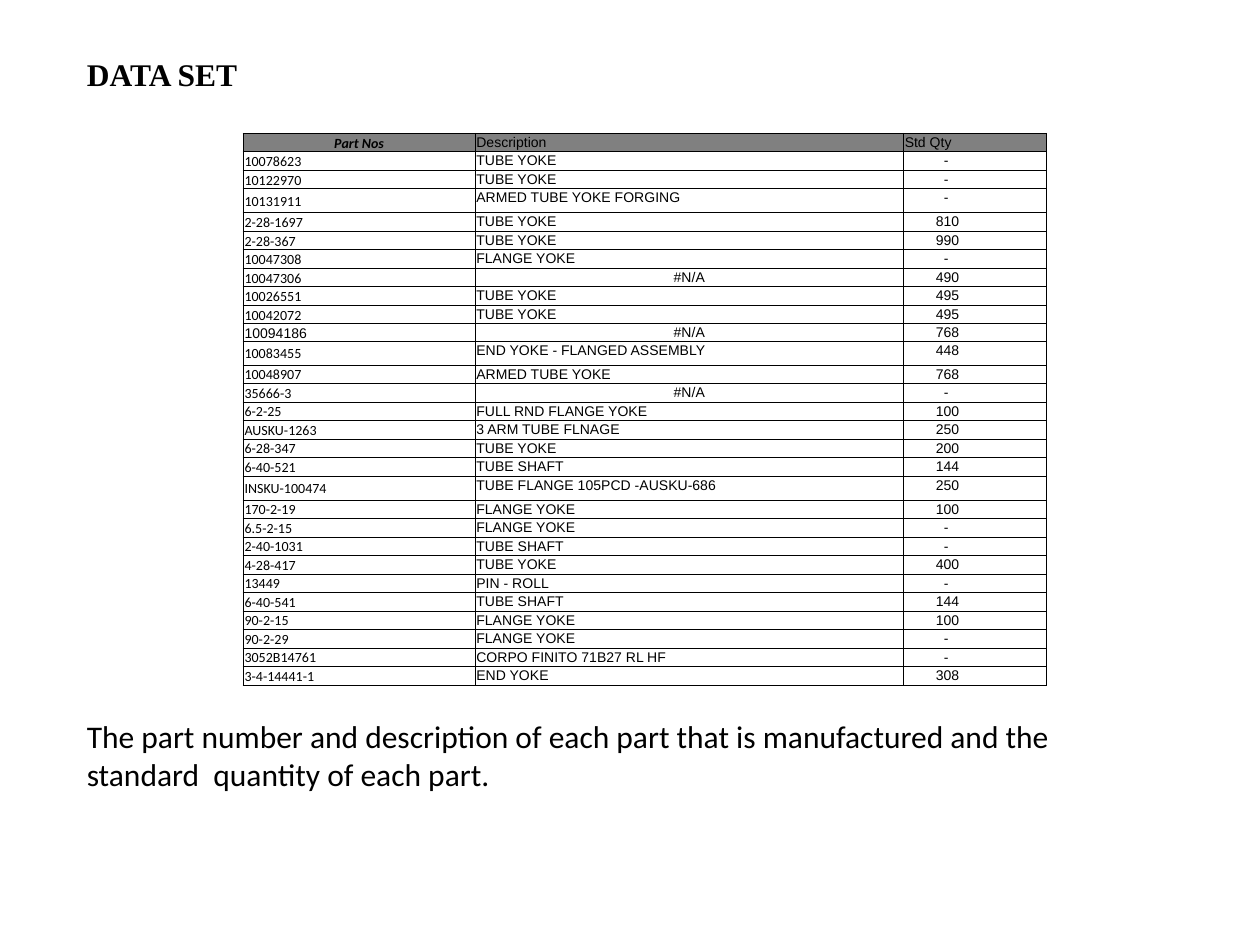
from pptx import Presentation
from pptx.dml.color import RGBColor
from pptx.enum.text import MSO_ANCHOR, PP_ALIGN
from pptx.oxml import parse_xml
from pptx.oxml.ns import nsdecls
from pptx.util import Pt

THEME = {
    "ink": RGBColor(0, 0, 0), "head": RGBColor(0x80, 0x80, 0x80),
    "line": "000000", "rule": Pt(0.75),
    "title": Pt(18), "body": Pt(18), "cell": Pt(8),
    "serif": "Times New Roman", "sans": "Calibri", "grid": "Arial",
}
HEAD = ("Part Nos", "Description", "Std Qty")
PARTS = [
    ("10078623", "TUBE YOKE", "-"),
    ("10122970", "TUBE YOKE", "-"),
    ("10131911", "ARMED TUBE YOKE FORGING", "-"),
    ("2-28-1697", "TUBE YOKE", "810"),
    ("2-28-367", "TUBE YOKE", "990"),
    ("10047308", "FLANGE YOKE", "-"),
    ("10047306", "#N/A", "490"),
    ("10026551", "TUBE YOKE", "495"),
    ("10042072", "TUBE YOKE", "495"),
    ("10094186", "#N/A", "768"),
    ("10083455", "END YOKE - FLANGED ASSEMBLY", "448"),
    ("10048907", "ARMED TUBE YOKE", "768"),
    ("35666-3", "#N/A", "-"),
    ("6-2-25", "FULL RND FLANGE YOKE", "100"),
    ("AUSKU-1263", "3 ARM TUBE FLNAGE", "250"),
    ("6-28-347", "TUBE YOKE", "200"),
    ("6-40-521", "TUBE SHAFT", "144"),
    ("INSKU-100474", "TUBE FLANGE 105PCD -AUSKU-686", "250"),
    ("170-2-19", "FLANGE YOKE", "100"),
    ("6.5-2-15", "FLANGE YOKE", "-"),
    ("2-40-1031", "TUBE SHAFT", "-"),
    ("4-28-417", "TUBE YOKE", "400"),
    ("13449", "PIN - ROLL", "-"),
    ("6-40-541", "TUBE SHAFT", "144"),
    ("90-2-15", "FLANGE YOKE", "100"),
    ("90-2-29", "FLANGE YOKE", "-"),
    ("3052B14761", "CORPO FINITO 71B27 RL HF", "-"),
    ("3-4-14441-1", "END YOKE", "308"),
]
WIDTHS = (132.5, 244.8, 81.5)
LOW, TALL = 10, 13.7
TALL_ROWS = (3, 11, 18)
PLAIN_ROW = 10  # its part number is set in the grid font


def style(frame, font, size, bold=False, italic=False):
    for run in frame.paragraphs[0].runs:
        run.font.name, run.font.size = font, size
        run.font.bold, run.font.italic = bold, italic
        run.font.color.rgb = THEME["ink"]


def border(cell):
    props = cell._tc.get_or_add_tcPr()
    for side in ("lnL", "lnR", "lnT", "lnB"):
        props.append(parse_xml(
            f'<a:{side} {nsdecls("a")} w="{THEME["rule"]}"><a:solidFill>'
            f'<a:srgbClr val="{THEME["line"]}"/></a:solidFill></a:{side}>'))


deck = Presentation()
deck.slide_width, deck.slide_height = Pt(720), Pt(540)
slide = deck.slides.add_slide(deck.slide_layouts[5])

# Title
title = slide.shapes.title
title.left, title.top, title.width, title.height = Pt(42.5), Pt(28), Pt(317.5), Pt(29)
frame = title.text_frame
frame.text = "DATA SET"
frame.vertical_anchor = MSO_ANCHOR.TOP
frame.paragraphs[0].alignment = PP_ALIGN.LEFT
style(frame, THEME["serif"], THEME["title"], bold=True)

# Parts table
rows = [HEAD] + PARTS
heights = [TALL if r in TALL_ROWS else LOW for r in range(len(rows))]
table = slide.shapes.add_table(len(rows), len(HEAD), Pt(139), Pt(76.2),
                               Pt(sum(WIDTHS)), Pt(sum(heights))).table
table.first_row = table.horz_banding = False
for col, width in zip(table.columns, WIDTHS):
    col.width = Pt(width)
for r, (row, height) in enumerate(zip(rows, heights)):
    table.rows[r].height = Pt(height)
    for c, text in enumerate(row):
        cell = table.cell(r, c)
        cell.text = text
        cell.margin_left = cell.margin_right = cell.margin_top = Pt(0.72)
        cell.margin_bottom = Pt(0)
        cell.vertical_anchor = MSO_ANCHOR.TOP if c else MSO_ANCHOR.MIDDLE
        border(cell)
        if r == 0:
            cell.fill.solid()
            cell.fill.fore_color.rgb = THEME["head"]
        else:
            cell.fill.background()
            if c == 2:  # quantities stand in from the left edge
                cell.margin_left = Pt(23 if text == "-" else 18.5)
        if text in ("Part Nos", "#N/A"):
            cell.text_frame.paragraphs[0].alignment = PP_ALIGN.CENTER
        lead = r == 0 and c == 0
        font = THEME["grid"] if c or r == PLAIN_ROW else THEME["sans"]
        style(cell.text_frame, font, THEME["cell"], lead, lead)

# Caption
note = slide.shapes.add_textbox(Pt(42.5), Pt(406), Pt(589.7), Pt(51))
frame = note.text_frame
frame.word_wrap = True
frame.text = ("The part number and description of each part that is manufactured "
              "and the standard  quantity of each part.")
style(frame, THEME["sans"], THEME["body"])

deck.save("out.pptx")
